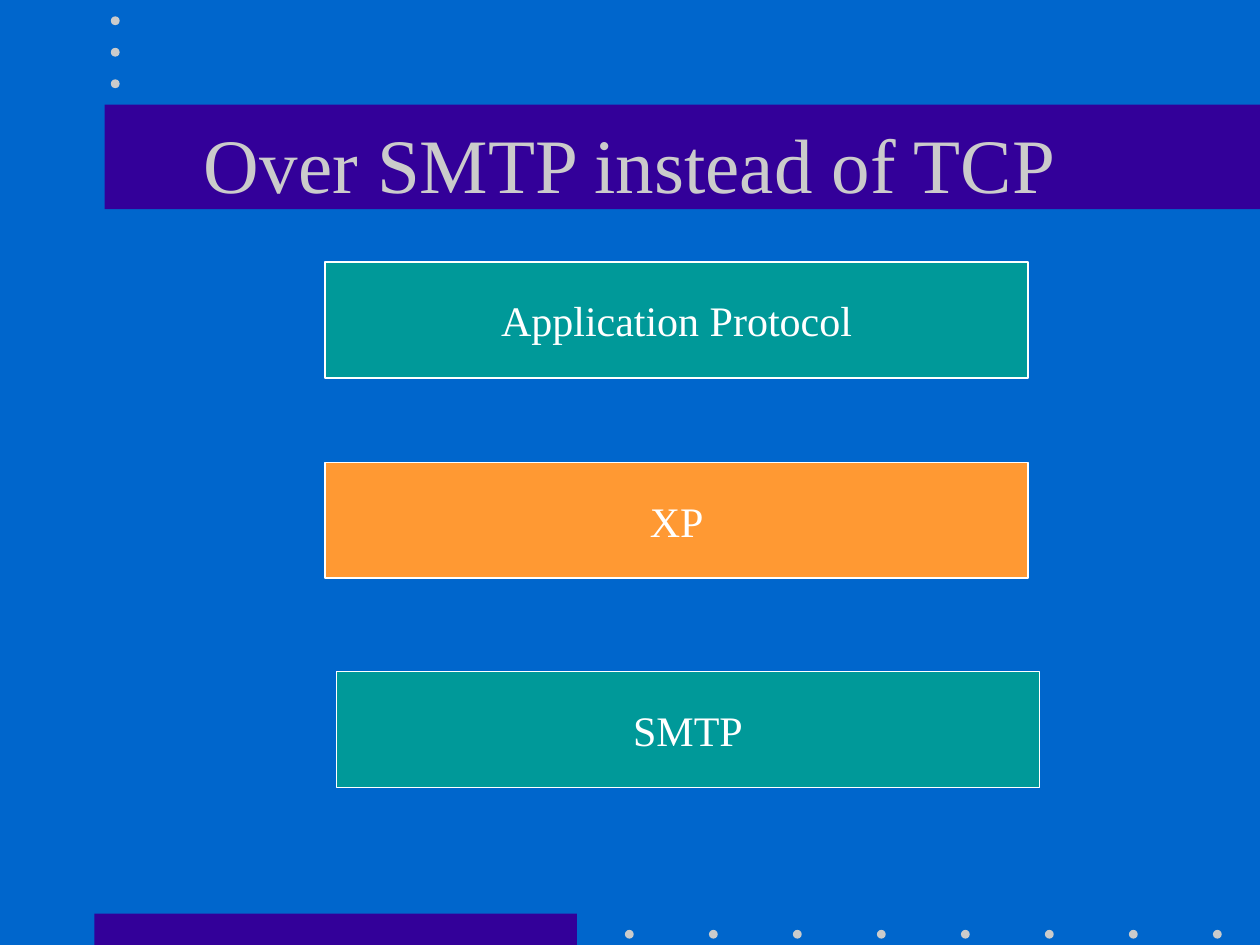
import pptx
import pptx.dml.color
import pptx.enum.shapes
import pptx.enum.text
import pptx.util

Inches = pptx.util.Inches
Pt = pptx.util.Pt
MSO_SHAPE = pptx.enum.shapes.MSO_SHAPE

FONT = "Times New Roman"
COLORS = {
    "background": "0066CC",
    "band": "330099",
    "dot": "CBCBCB",
    "title": "CBCBCB",
    "teal": "009999",
    "orange": "FF9933",
    "white": "FFFFFF",
}
DOT_SIZE = 0.07


def rgb(name):
    return pptx.dml.color.RGBColor.from_string(COLORS[name])


def add_filled(slide, kind, box, color):
    filled = slide.shapes.add_shape(kind, *[Inches(length) for length in box])
    filled.shadow.inherit = False
    filled.fill.solid()
    filled.fill.fore_color.rgb = rgb(color)
    filled.line.fill.background()
    return filled


def add_dots(slide, left, top, count, step_x, step_y):
    for index in range(count):
        box = (left + index * step_x, top + index * step_y, DOT_SIZE, DOT_SIZE)
        add_filled(slide, MSO_SHAPE.OVAL, box, "dot")


def write_centered(frame, wording, size, color):
    frame.vertical_anchor = pptx.enum.text.MSO_ANCHOR.MIDDLE
    paragraph = frame.paragraphs[0]
    paragraph.alignment = pptx.enum.text.PP_ALIGN.CENTER
    run = paragraph.add_run()
    run.text = wording
    run.font.name = FONT
    run.font.size = Pt(size)
    run.font.color.rgb = rgb(color)


def add_footer(slide, left, top, width, height):
    add_filled(slide, MSO_SHAPE.RECTANGLE, (left, top, width, height), "band")
    add_dots(slide, left + width + 0.38, top + 0.13, 8, 2 / 3, 0)


def add_header(slide, left, top, width, height):
    add_filled(slide, MSO_SHAPE.RECTANGLE, (left, top, width, height), "band")
    add_dots(slide, left + 0.05, top - 0.7, 3, 0, 0.25)


def place_title(slide, left, top, width, height, wording):
    heading = slide.shapes.title
    heading.left, heading.top = Inches(left), Inches(top)
    heading.width, heading.height = Inches(width), Inches(height)
    write_centered(heading.text_frame, wording, 44, "title")
    heading.element.getparent().append(heading.element)


def add_layer(slide, left, top, width, height, wording, color):
    layer = add_filled(slide, MSO_SHAPE.RECTANGLE, (left, top, width, height), color)
    layer.line.color.rgb = rgb("white")
    layer.line.width = Pt(1)
    layer.text_frame.word_wrap = False
    write_centered(layer.text_frame, wording, 24, "white")


def main():
    deck = pptx.Presentation()
    deck.slide_width, deck.slide_height = Inches(10), Inches(7.5)
    slide = deck.slides.add_slide(deck.slide_layouts[5])
    slide.background.fill.solid()
    slide.background.fill.fore_color.rgb = rgb("background")

    add_footer(slide, 0.75, 7.25, 3.83, 0.25)
    add_header(slide, 0.83, 0.83, 9.17, 0.83)
    place_title(slide, 0.75, 0.67, 8.5, 1.25, "Over SMTP instead of TCP")

    layers = [
        (2.58, 2.08, "Application Protocol", "teal"),
        (2.58, 3.67, "XP", "orange"),
        (2.67, 5.33, "SMTP", "teal"),
    ]
    for left, top, wording, color in layers:
        add_layer(slide, left, top, 5.58, 0.92, wording, color)

    deck.save("out.pptx")


if __name__ == "__main__":
    main()
